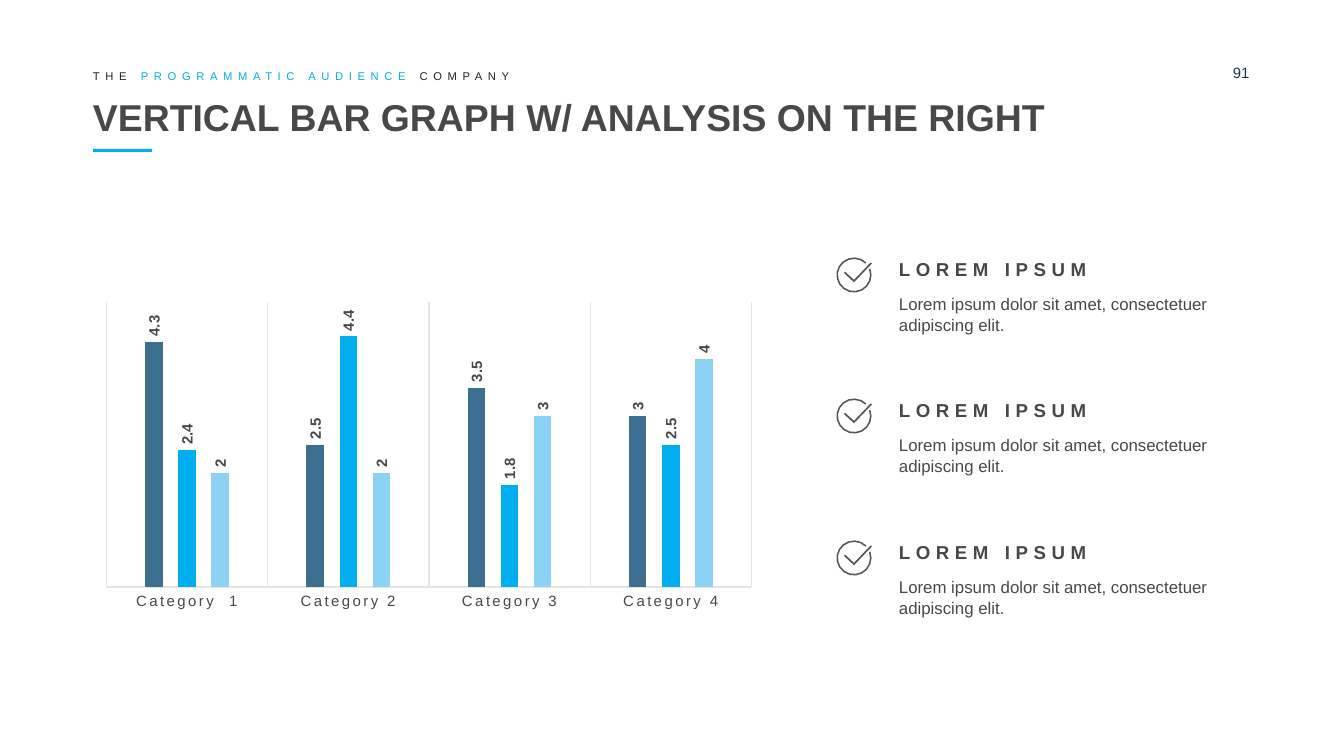
from math import cos, radians, sin

from lxml import etree
from pptx import Presentation
from pptx.chart.data import CategoryChartData
from pptx.dml.color import RGBColor
from pptx.enum.chart import XL_CHART_TYPE, XL_LABEL_POSITION, XL_TICK_MARK
from pptx.enum.shapes import MSO_SHAPE
from pptx.enum.text import MSO_ANCHOR
from pptx.oxml import parse_xml
from pptx.oxml.ns import nsdecls
from pptx.util import Pt

PX = 914400 / 134.4
FONT = "Arial"
GREY = RGBColor(0x48, 0x48, 0x48)
BLACK = RGBColor(0x24, 0x24, 0x24)
NAVY = RGBColor(0x1D, 0x36, 0x47)
SLATE = RGBColor(0x53, 0x58, 0x5F)
RULE = RGBColor(0xE4, 0xE4, 0xE4)
STEEL = RGBColor(0x3B, 0x6E, 0x8F)
BLUE = RGBColor(0x01, 0xAE, 0xEE)
SKY = RGBColor(0x8B, 0xD2, 0xF4)
COLUMN = XL_CHART_TYPE.COLUMN_CLUSTERED
OUTER = XL_LABEL_POSITION.OUTSIDE_END
NONE = XL_TICK_MARK.NONE
RECT = MSO_SHAPE.RECTANGLE
TOP = MSO_ANCHOR.TOP
MIDDLE = MSO_ANCHOR.MIDDLE

TICK = [(-10, -2), (0, 7.3), (18, -11.5), (16.7, -12.6), (0, 4.9), (-8.8, -3.2)]
LABELS = ["Category  1", "Category 2", "Category 3", "Category 4"]
SERIES = [
    ("Series 1", (4.3, 2.5, 3.5, 3), STEEL),
    ("Series 2", (2.4, 4.4, 1.8, 2.5), BLUE),
    ("Series 3", (2, 2, 3, 4), SKY),
]
LAYOUT = {"xMode": "edge", "yMode": "edge", "x": 0.02, "y": 0.02, "w": 0.96, "h": 0.89}


def emu(*sizes):
    return [round(size * PX) for size in sizes]


class Deck:
    def __init__(self, width, height):
        self.prs = Presentation()
        self.prs.slide_width, self.prs.slide_height = emu(width, height)
        self.slide = self.prs.slides.add_slide(self.prs.slide_layouts[6])
        self.shapes = self.slide.shapes

    def style(self, font, size, color=GREY, bold=False):
        font.name = FONT
        font.size = Pt(size)
        font.bold = bold
        font.color.rgb = color

    def paint(self, shape, color):
        shape.shadow.inherit = False
        shape.fill.solid()
        shape.fill.fore_color.rgb = color
        shape.line.fill.background()

    def text(self, box, parts, size, bold=False, gap=0, anchor=TOP):
        frame = self.shapes.add_textbox(*emu(*box)).text_frame
        frame.margin_left = frame.margin_right = 0
        frame.margin_top = frame.margin_bottom = 0
        frame.word_wrap = True
        frame.vertical_anchor = anchor
        para = frame.paragraphs[0]
        self.style(para.font, size, parts[0][1], bold)
        for words, color in parts:
            run = para.add_run()
            run.text = words
            if len(parts) > 1:
                run.font.color.rgb = color
            if gap:
                run._r.get_or_add_rPr().set("spc", str(gap * 100))

    def bar(self, box, color):
        self.paint(self.shapes.add_shape(RECT, *emu(*box)), color)

    def check(self, x, y):
        turns = [radians(turn) for turn in range(-21, 316, 21)]
        ring = [(17.6 * cos(t), 17.6 * sin(t)) for t in turns]
        ring += [(16 * cos(t), 16 * sin(t)) for t in reversed(turns)]
        ring, tick = [[emu(x + dx, y + dy) for dx, dy in line] for line in (ring, TICK)]
        pen = self.shapes.build_freeform(*ring[0], scale=1.0)
        pen.add_line_segments(ring[1:], close=True)
        pen.move_to(*tick[0])
        pen.add_line_segments(tick[1:], close=True)
        self.paint(pen.convert_to_shape(), SLATE)

    def chart(self, box, labels, series):
        data = CategoryChartData()
        data.categories = labels
        for name, values, _ in series:
            data.add_series(name, values)
        chart = self.shapes.add_chart(COLUMN, *emu(*box), data).chart
        self.style(chart.font, 10)
        chart.has_legend = chart.has_title = False
        plot = chart.plots[0]
        plot.gap_width, plot.overlap = 444, -90
        plot.vary_by_categories = False
        for item, (_, _, color) in zip(plot.series, series):
            item.format.fill.solid()
            item.format.fill.fore_color.rgb = color
            marks = item.data_labels
            marks.show_value = True
            marks.position = OUTER
            self.style(marks.font, 8, bold=True)
        axis = chart.category_axis
        axis.major_tick_mark = NONE
        axis.has_major_gridlines = True
        for line in (axis.format.line, axis.major_gridlines.format.line):
            line.color.rgb = RULE
            line.width = Pt(0.75)
        self.style(axis.tick_labels.font, 8)
        scale = chart.value_axis
        scale.minimum_scale, scale.maximum_scale = 0, 5
        scale.has_major_gridlines = False
        scale.visible = False
        self.tune(chart._chartSpace)

    def tune(self, space):
        for body in space.xpath(".//c:dLbls//a:bodyPr"):
            body.set("rot", "-5400000")
            body.set("vert", "horz")
        for font in space.xpath(".//c:catAx//a:defRPr"):
            font.set("spc", "120")
        area = space.xpath(".//c:plotArea")[0]
        for old in area.xpath("./c:layout"):
            area.remove(old)
        layout = parse_xml(
            f'<c:layout {nsdecls("c")}><c:manualLayout>'
            '<c:layoutTarget val="inner"/></c:manualLayout></c:layout>'
        )
        space_name = layout.nsmap["c"]
        for key, value in LAYOUT.items():
            etree.SubElement(layout[0], f"{{{space_name}}}{key}").set("val", str(value))
        area.insert(0, layout)


def main():
    deck = Deck(1344, 756)
    deck.bar((93, 149, 59, 3), BLUE)
    deck.chart((93, 296, 672, 320), LABELS, SERIES)
    for top in (258, 399, 541):
        deck.check(854, top + 17)
        deck.text((899, top, 336, 23), [("LOREM IPSUM", GREY)], 10, bold=True, gap=3)
        note = "Lorem ipsum dolor sit amet, consectetuer adipiscing elit."
        deck.text((899, top + 36, 336, 41), [(note, GREY)], 9)
    title = "VERTICAL BAR GRAPH W/ ANALYSIS ON THE RIGHT"
    deck.text((93, 92, 1159, 50), [(title, GREY)], 20, bold=True, anchor=MIDDLE)
    deck.text((1233, 64, 58, 21), [("91", NAVY)], 8)
    motto = [("THE ", BLACK), ("PROGRAMMATIC AUDIENCE ", BLUE), ("COMPANY", BLACK)]
    deck.text((93, 70, 964, 13), motto, 6, gap=3, anchor=MIDDLE)
    deck.prs.save("out.pptx")


if __name__ == "__main__":
    main()
